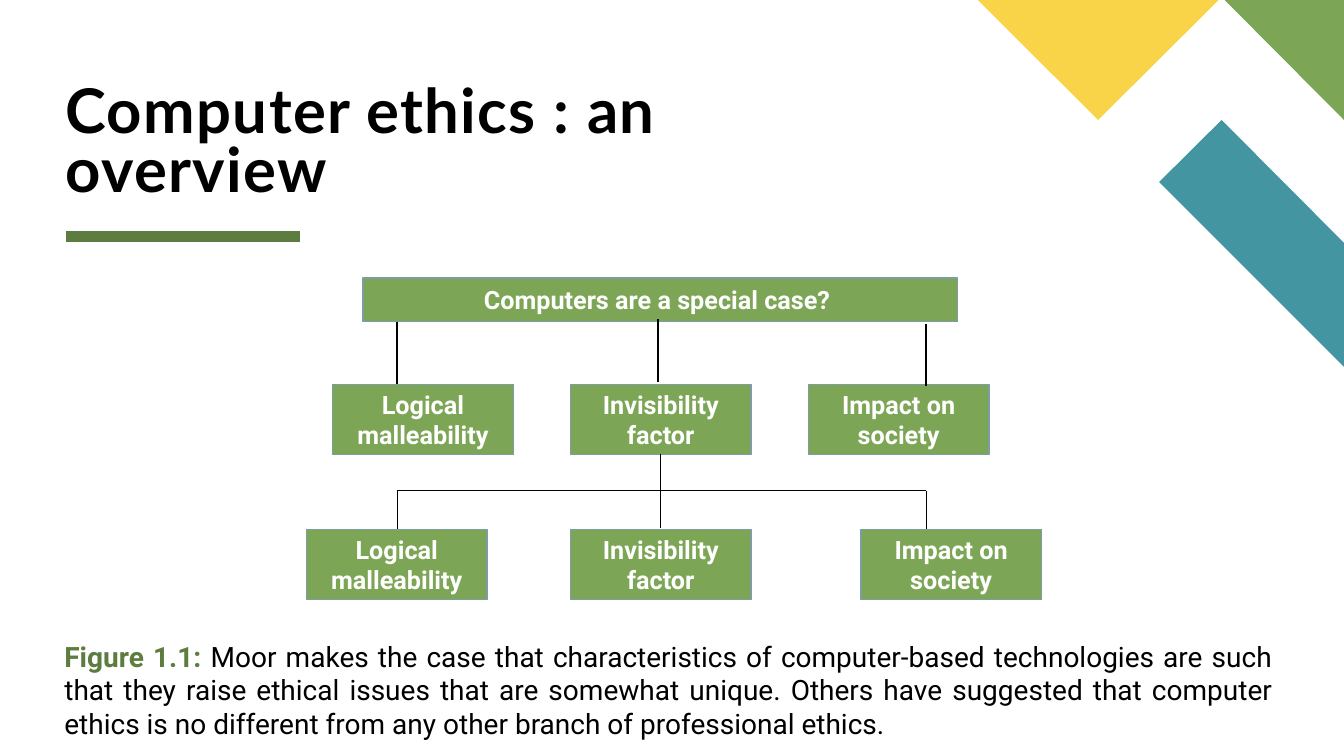
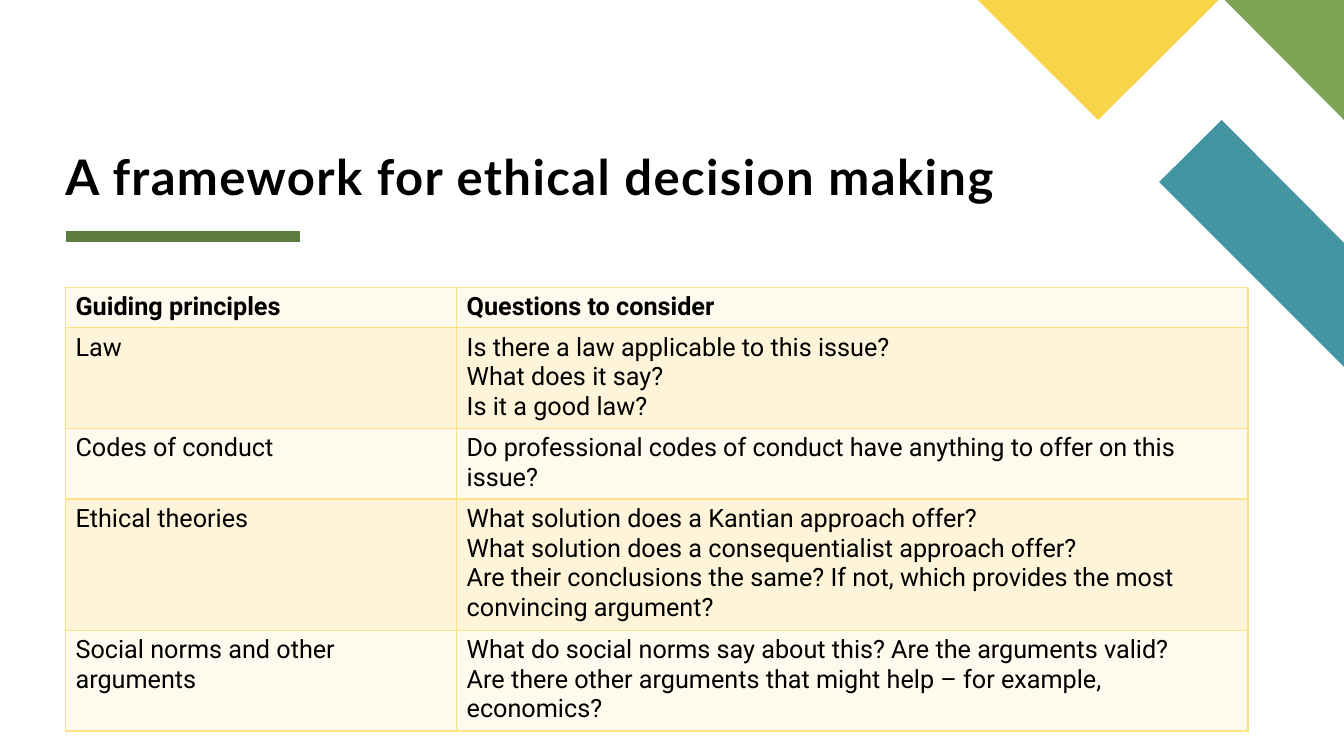
"""Build two slides on computer ethics: a box chart and a table."""
from dataclasses import dataclass
from lxml.etree import SubElement as Sub
from pptx import Presentation
from pptx.dml.color import RGBColor as RGB
from pptx.enum.shapes import MSO_CONNECTOR as Link, MSO_SHAPE as Form
from pptx.enum.text import MSO_ANCHOR as Anchor, PP_ALIGN as Align
from pptx.oxml.ns import qn
from pptx.util import Pt


@dataclass(frozen=True)
class Theme:
    head: str = "Lato"
    body: str = "Roboto"
    black: str = "000000"
    white: str = "FFFFFF"
    green: str = "7CA655"
    moss: str = "5D7D40"
    teal: str = "4495A2"
    gold: str = "F9D448"
    edge: str = "7D9DA2"
    rule: str = "FBE284"
    bands: tuple = ("FEFAED", "FDF4D9")
    text: int = 18
    note: int = 20


T = Theme()
LEFT = 46.8

CORNER = [
    (T.teal, [(828, 130), (872.6, 85.7), (960, 173.5), (960, 262)]),
    (T.green, [(874.8, 0), (960, 0), (960, 85.7)]),
    (T.gold, [(698.4, 0), (870.5, 0), (784.4, 85.7)]),
]

ROOT = ("Computers are a special case? ", 259.2, 198.7, 424.8, 31)
LABELS = ["Logical malleability", "Invisibility factor", "Impact on society"]
BOX = (129, 50)
TIERS = [(274.6, (237.6, 407.5, 577.4)), (378.4, (218.9, 407.5, 614.9))]
WIRES = [
    (1.25, [(283.7, 229.7, 283.7, 274.3), (470.2, 228.2, 470.2, 272.9),
            (661.7, 231.1, 661.7, 275.8)]),
    (0.5, [(283.7, 350.6, 283.7, 378), (661.7, 350.6, 661.7, 378),
           (471.6, 324, 471.6, 377.3), (283.7, 350.6, 661.7, 350.6)]),
]
NOTE = [
    ("Figure 1.1:", T.moss, True),
    (" Moor makes the case that characteristics of computer-based "
     "technologies are such that they raise ethical issues that are somewhat "
     "unique. Others have suggested that computer ethics is no different from "
     "any other branch of professional ethics.", T.black, False),
]

WIDTHS = (279.4, 565.2)
LINE, PAD = 21.2, 7.2
ROWS = [
    (1, "Guiding principles", ["Questions to consider"]),
    (3, "Law", ["Is there a law applicable to this issue?",
                "What does it say?",
                "Is it a good law?"]),
    (2, "Codes of conduct",
     ["Do professional codes of conduct have anything to offer on this issue?"]),
    (4, "Ethical theories",
     ["What solution does a Kantian approach offer?",
      "What solution does a consequentialist approach offer?",
      "Are their conclusions the same? If not, which provides the most "
      "convincing argument?"]),
    (3, "Social norms and other arguments",
     ["What do social norms say about this? Are the arguments valid?",
      "Are there other arguments that might help – for example, economics?"]),
]


def paint(shape, color):
    shape.shadow.inherit = False
    shape.fill.solid()
    shape.fill.fore_color.rgb = RGB.from_string(color)


def write(para, text, size, color=T.black, bold=False, face=T.body):
    run = para.add_run()
    run.text = text
    font = run.font
    font.name, font.size, font.bold = face, Pt(size), bold
    font.color.rgb = RGB.from_string(color)
    return run


def wire(slide, ends, color, width):
    line = slide.shapes.add_connector(Link.STRAIGHT, *map(Pt, ends))
    line.line.color.rgb = RGB.from_string(color)
    line.line.width = Pt(width)
    Sub(line._element.spPr, qn("a:effectLst"))


def label(slide, text, *place):
    box = slide.shapes.add_shape(Form.RECTANGLE, *map(Pt, place))
    paint(box, T.green)
    box.line.color.rgb = RGB.from_string(T.edge)
    box.line.width = Pt(1)
    frame = box.text_frame
    frame.word_wrap = True
    frame.vertical_anchor = Anchor.MIDDLE
    para = frame.paragraphs[0]
    para.alignment = Align.CENTER
    write(para, text, T.text, T.white, True)


def text_box(slide, *place):
    frame = slide.shapes.add_textbox(*map(Pt, place)).text_frame
    frame.word_wrap = True
    return frame


def start(deck, title, size, width):
    slide = deck.slides.add_slide(deck.slide_layouts[6])
    for color, (first, *rest) in CORNER:
        pen = slide.shapes.build_freeform(*map(Pt, first))
        pen.add_line_segments([(Pt(x), Pt(y)) for x, y in rest], close=True)
        shape = pen.convert_to_shape()
        paint(shape, color)
        shape.line.fill.background()
    wire(slide, (LEFT, 169.2, 214.6, 169.2), T.moss, 8)
    frame = text_box(slide, LEFT, 29.5, width, 116.6)
    frame.margin_left = frame.margin_right = 0
    frame.margin_top = frame.margin_bottom = 0
    frame.vertical_anchor = Anchor.BOTTOM
    para = frame.paragraphs[0]
    para.line_spacing = 0.8
    run = write(para, title, size, bold=True, face=T.head)
    run.font._element.set("spc", "100")
    return slide


def chart_page(deck):
    slide = start(deck, "Computer ethics : an overview", 44, 610)
    label(slide, *ROOT)
    for top, lefts in TIERS:
        for text, left in zip(LABELS, lefts):
            label(slide, text, left, top, *BOX)
    for width, lines in WIRES:
        for ends in lines:
            wire(slide, ends, T.black, width)
    para = text_box(slide, 38.9, 452.9, 877.7, 79.9).paragraphs[0]
    para.alignment = Align.JUSTIFY
    for text, color, bold in NOTE:
        write(para, text, T.note, color, bold)


def fill_cell(cell, lines, color, bold):
    props = cell._tc.get_or_add_tcPr()
    for side in ("lnL", "lnR", "lnT", "lnB"):
        edge = Sub(props, qn("a:" + side), w=str(Pt(1)))
        Sub(Sub(edge, qn("a:solidFill")), qn("a:srgbClr"), val=T.rule)
    cell.fill.solid()
    cell.fill.fore_color.rgb = RGB.from_string(color)
    frame = cell.text_frame
    for i, text in enumerate(lines):
        para = frame.add_paragraph() if i else frame.paragraphs[0]
        write(para, text, T.text, bold=bold)


def table_page(deck):
    slide = start(deck, "A framework for ethical decision making", 35, 691.2)
    highs = [count * LINE + PAD for count, _, _ in ROWS]
    place = (LEFT, 205.2, sum(WIDTHS), sum(highs))
    grid = slide.shapes.add_table(len(ROWS), 2, *map(Pt, place)).table
    for col, width in zip(grid.columns, WIDTHS):
        col.width = Pt(width)
    for i, (_, name, asks) in enumerate(ROWS):
        grid.rows[i].height = Pt(highs[i])
        for j, lines in enumerate(([name], asks)):
            fill_cell(grid.cell(i, j), lines, T.bands[i % 2], i == 0)


def main():
    deck = Presentation()
    deck.slide_width, deck.slide_height = Pt(960), Pt(540)
    chart_page(deck)
    table_page(deck)
    deck.save("out.pptx")


if __name__ == "__main__":
    main()
